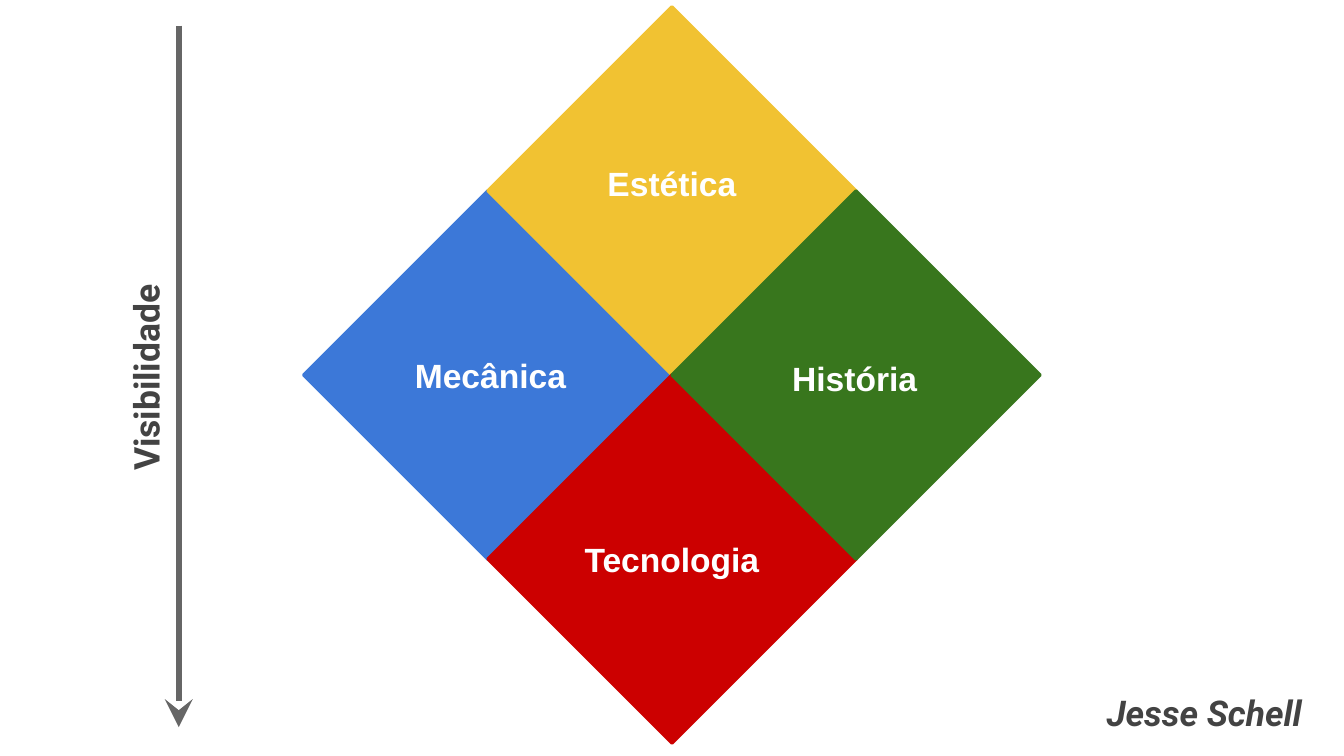
from dataclasses import dataclass

from lxml import etree
from pptx import Presentation
from pptx.dml.color import RGBColor
from pptx.enum.shapes import MSO_CONNECTOR, MSO_SHAPE
from pptx.enum.text import MSO_ANCHOR, PP_ALIGN
from pptx.oxml.ns import qn
from pptx.util import Inches, Pt

RECTANGLE = MSO_SHAPE.RECTANGLE
STRAIGHT = MSO_CONNECTOR.STRAIGHT
CENTER = PP_ALIGN.CENTER
TOP = MSO_ANCHOR.TOP

COLORS = {
    "blue": "3C78D8",
    "yellow": "F1C232",
    "red": "CC0000",
    "green": "38761D",
    "white": "FFFFFF",
    "axis": "666666",
    "text": "434343",
}

# Slide and tetrad geometry, in inches
SLIDE_WIDTH = 10
SLIDE_HEIGHT = SLIDE_WIDTH * 9 / 16
CENTER_X, CENTER_Y = 5.0, 2.79
STEP = 1.37
SIDE = 1.94
LABEL_HEIGHT = 0.5


@dataclass
class Label:
    text: str
    left: float
    top: float
    width: float
    font: str = "Arial"
    size: int = 18
    color: str = "white"
    italic: bool = False
    rotation: int = 0


@dataclass
class Element:
    color: str
    column: int  # steps right of the centre
    row: int  # steps below the centre
    label: Label


ELEMENTS = [
    Element("blue", -1, 0, Label("Mecânica", 2.97, 2.54, 1.36)),
    Element("yellow", 0, -1, Label("Estética", 4.32, 1.11, 1.36)),
    Element("red", 0, 1, Label("Tecnologia", 4.2, 3.91, 1.6)),
    Element("green", 1, 0, Label("História", 5.68, 2.56, 1.36)),
]
AXIS_LABEL = Label("Visibilidade", 0.21, 2.56, 1.73, "Roboto", 19, "text", rotation=270)
AUTHOR = Label("Jesse Schell", 8.04, 5.04, 1.84, "Roboto", 19, "text", italic=True)


def rgb(name: str) -> RGBColor:
    return RGBColor.from_string(COLORS[name])


def draw_diamond(slide, element: Element) -> None:
    left = CENTER_X + element.column * STEP - SIDE / 2
    top = CENTER_Y + element.row * STEP - SIDE / 2
    shape = slide.shapes.add_shape(
        RECTANGLE, Inches(left), Inches(top), Inches(SIDE), Inches(SIDE)
    )
    shape.rotation = 315
    shape.shadow.inherit = False
    shape.fill.solid()
    shape.fill.fore_color.rgb = rgb(element.color)
    shape.line.color.rgb = rgb(element.color)
    shape.line.width = Pt(1.5)


def draw_label(slide, label: Label) -> None:
    box = slide.shapes.add_textbox(
        Inches(label.left), Inches(label.top), Inches(label.width), Inches(LABEL_HEIGHT)
    )
    box.rotation = label.rotation
    frame = box.text_frame
    frame.word_wrap = True
    frame.vertical_anchor = TOP
    frame.margin_left = frame.margin_right = Inches(0.1)
    frame.margin_top = frame.margin_bottom = Inches(0.1)
    paragraph = frame.paragraphs[0]
    paragraph.text = label.text
    paragraph.alignment = CENTER
    font = paragraph.font
    font.name = label.font
    font.size = Pt(label.size)
    font.bold = True
    font.italic = label.italic
    font.color.rgb = rgb(label.color)


def draw_axis(slide, x: float, top: float, bottom: float) -> None:
    axis = slide.shapes.add_connector(
        STRAIGHT, Inches(x), Inches(top), Inches(x), Inches(bottom)
    )
    axis.line.color.rgb = rgb("axis")
    axis.line.width = Pt(3)
    properties = axis._element.spPr
    outline = properties.find(qn("a:ln"))
    etree.SubElement(outline, qn("a:tailEnd"), type="stealth", w="lg", len="lg")
    etree.SubElement(properties, qn("a:effectLst"))


def main() -> None:
    presentation = Presentation()
    presentation.slide_width = Inches(SLIDE_WIDTH)
    presentation.slide_height = Inches(SLIDE_HEIGHT)
    slide = presentation.slides.add_slide(presentation.slide_layouts[6])

    # Four diamonds, then their names on top
    for element in ELEMENTS:
        draw_diamond(slide, element)
    for element in ELEMENTS:
        draw_label(slide, element.label)

    # Visibility axis and author
    draw_axis(slide, 1.33, 0.19, 5.41)
    draw_label(slide, AXIS_LABEL)
    draw_label(slide, AUTHOR)

    presentation.save("out.pptx")


if __name__ == "__main__":
    main()
